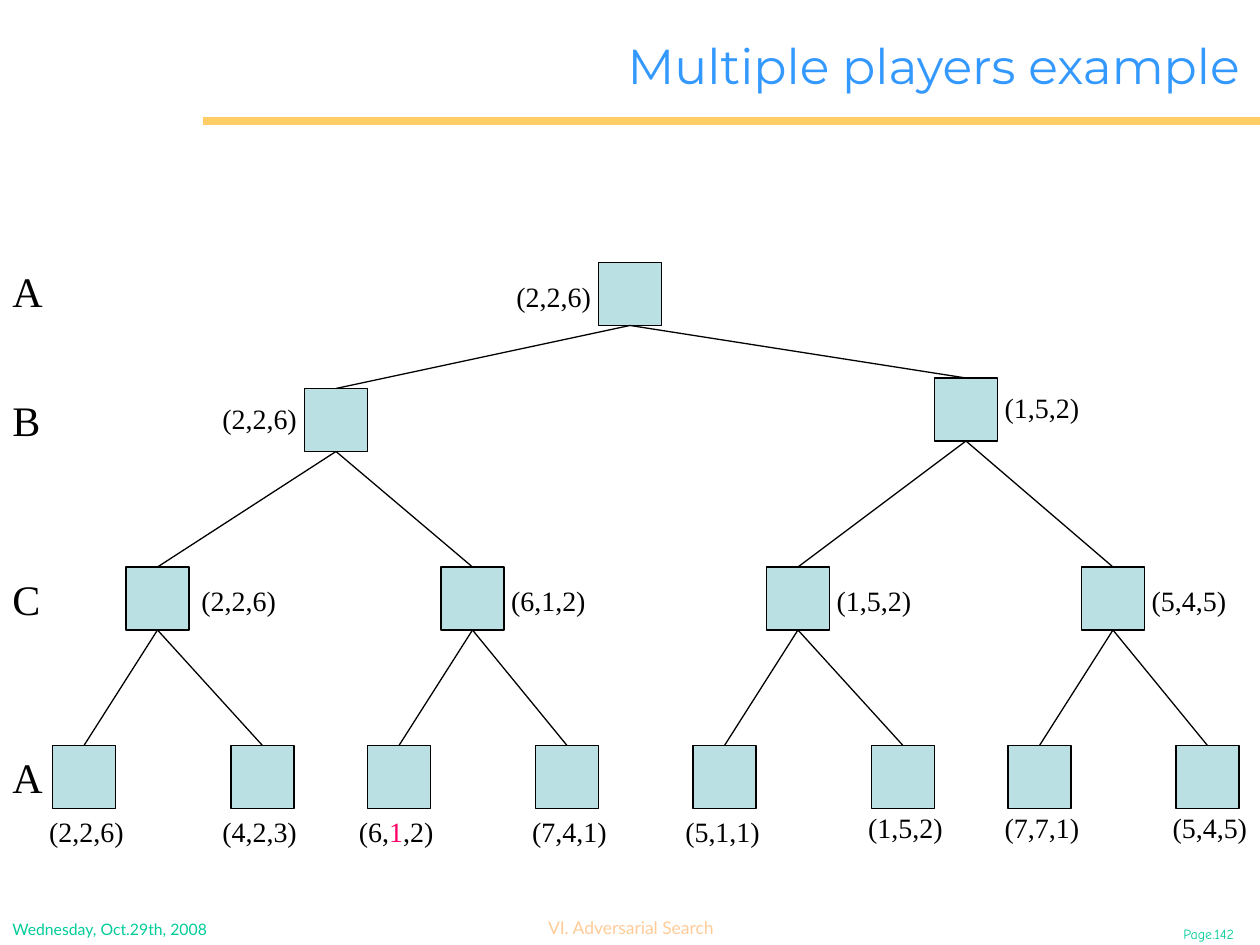
from typing import NamedTuple

from lxml import etree
from pptx import Presentation
from pptx import util as u
from pptx.dml.color import RGBColor
from pptx.enum import shapes, text
from pptx.oxml.ns import qn

COLORS = {
    "rule": "FFCC66", "title": "3399FF", "footer": "00CC99", "topic": "FFCC99",
    "node": "BBE0E3", "ink": "000000", "mark": "FF0066",
}
SIDE = 36
LABEL_W, LABEL_H = 57, 26.6
BOTTOM, TOP = 2, 0
LEFT, CENTER, RIGHT = text.PP_ALIGN.LEFT, text.PP_ALIGN.CENTER, text.PP_ALIGN.RIGHT


class Run(NamedTuple):
    text: str
    color: str = "ink"


class Label(NamedTuple):
    x: float
    y: float
    w: float
    h: float
    runs: list[Run]
    size: float = 16
    font: str = "Times New Roman"
    align: text.PP_ALIGN = LEFT
    wrap: bool = False


class Node(NamedTuple):
    x: float
    y: float
    label_x: float
    label_y: float
    runs: list[Run]


def rgb(name: str) -> RGBColor:
    return RGBColor.from_string(COLORS[name])


def add_label(s, label: Label) -> None:
    sp = s.shapes.add_textbox(*map(u.Pt, label[:4]))
    tf = sp.text_frame
    frame_format = {
        "word_wrap": label.wrap, "vertical_anchor": text.MSO_ANCHOR.MIDDLE,
        "margin_left": u.Pt(7.2), "margin_right": u.Pt(7.2),
        "margin_top": u.Pt(3.6), "margin_bottom": u.Pt(3.6),
    }
    for name, value in frame_format.items():
        setattr(tf, name, value)
    p = tf.paragraphs[0]
    p.alignment = label.align
    for run in label.runs:
        r = p.add_run()
        r.text = run.text
        for name, value in {"size": u.Pt(label.size), "name": label.font}.items():
            setattr(r.font, name, value)
        r.font.color.rgb = rgb(run.color)


def add_node(s, node: Node):
    sp = s.shapes.add_shape(shapes.MSO_SHAPE.RECTANGLE,
                            u.Pt(node.x), u.Pt(node.y), u.Pt(SIDE), u.Pt(SIDE))
    sp.shadow.inherit = False
    sp.fill.solid()
    sp.fill.fore_color.rgb = rgb("node")
    sp.line.color.rgb = rgb("ink")
    sp.line.width = u.Pt(0.75)
    return sp


def add_line(s, x1: float, y1: float, x2: float, y2: float, color: str, width: float):
    cxn = s.shapes.add_connector(shapes.MSO_CONNECTOR.STRAIGHT,
                                 *map(u.Pt, (x1, y1, x2, y2)))
    cxn.line.color.rgb = rgb(color)
    cxn.line.width = u.Pt(width)
    etree.SubElement(cxn._element.spPr, qn("a:effectLst"))
    return cxn


def build_tree() -> list[Node]:
    """Nodes level by level, so node i (from 1) hangs below node i // 2."""
    upper = [
        Node(342, 150, 288, 156, [Run("(2,2,6)")]),
        Node(174, 222, 120, 225.5, [Run("(2,2,6)")]),
        Node(534, 216, 567, 219.5, [Run("(1,5,2)")]),
    ]
    third = [(72, 108, "(2,2,6)"), (252, 285, "(6,1,2)"),
             (438, 471, "(1,5,2)"), (618, 651, "(5,4,5)")]
    leaves = [
        (30, 21, 462, [Run("(2,2,6)")]),
        (132, 120, 462, [Run("(4,2,3)")]),
        (210, 198, 462, [Run("(6,"), Run("1", "mark"), Run(",2)")]),
        (306, 297, 462, [Run("(7,4,1)")]),
        (396, 384.5, 462, [Run("(5,1,1)")]),
        (498, 489, 459.5, [Run("(1,5,2)")]),
        (576, 567, 459.5, [Run("(7,7,1)")]),
        (672, 663, 459.5, [Run("(5,4,5)")]),
    ]
    return (upper
            + [Node(x, 324, lx, 330, [Run(t)]) for x, lx, t in third]
            + [Node(x, 426, lx, ly, runs) for x, lx, ly, runs in leaves])


def main() -> None:
    prs = Presentation()
    prs.slide_width, prs.slide_height = u.Pt(720), u.Pt(540)
    s = prs.slides.add_slide(prs.slide_layouts[6])

    # Rule, footer and title
    add_line(s, 116, 69.2, 720, 69.2, "rule", 4.5)
    for label in (
        Label(664.5, 525, 52.5, 17, [Run("Page.142", "footer")], 8, "Comic Neue", CENTER, True),
        Label(302.5, 520.5, 116, 19.5, [Run("VI. Adversarial Search", "topic")], 10, "Lato", CENTER),
        Label(0, 522, 173, 18, [Run("Wednesday, Oct.29th, 2008", "footer")], 9, "Lato", wrap=True),
        Label(134.5, 9.5, 581, 55, [Run("Multiple players example", "title")], 28,
              "Montserrat", RIGHT, True),
    ):
        add_label(s, label)

    # Tree nodes, then the edge from each parent to its child
    nodes = build_tree()
    boxes = [add_node(s, node) for node in nodes]
    for i in range(2, len(nodes) + 1):
        parent, child = nodes[i // 2 - 1], nodes[i - 1]
        edge = add_line(s, parent.x + SIDE / 2, parent.y + SIDE,
                        child.x + SIDE / 2, child.y, "ink", 0.75)
        edge.begin_connect(boxes[i // 2 - 1], BOTTOM)
        edge.end_connect(boxes[i - 1], TOP)

    # Utility triples
    for node in nodes:
        add_label(s, Label(node.label_x, node.label_y, LABEL_W, LABEL_H, node.runs))

    # Player to move at each level
    for player, y in zip("ABCA", (148, 222, 324, 426)):
        add_label(s, Label(0, y, 31, SIDE, [Run(player)], 24))

    prs.save("out.pptx")


if __name__ == "__main__":
    main()
